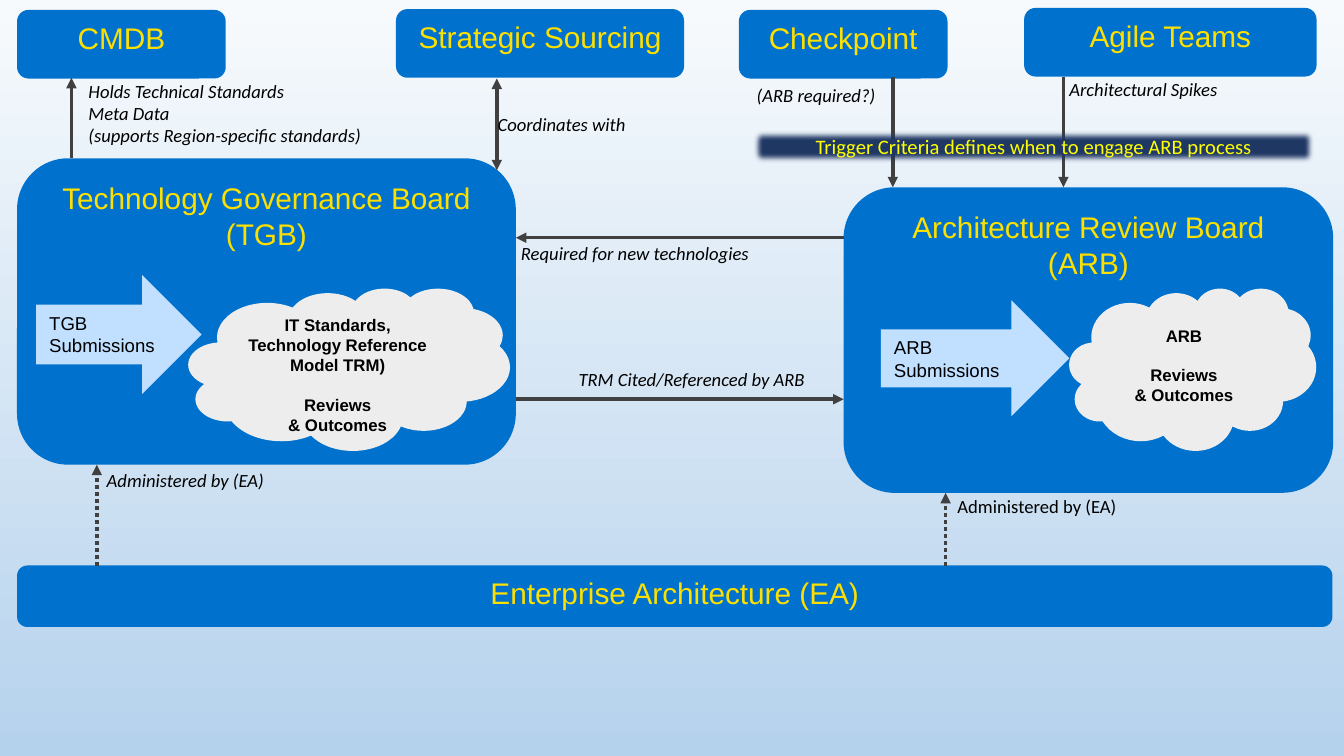
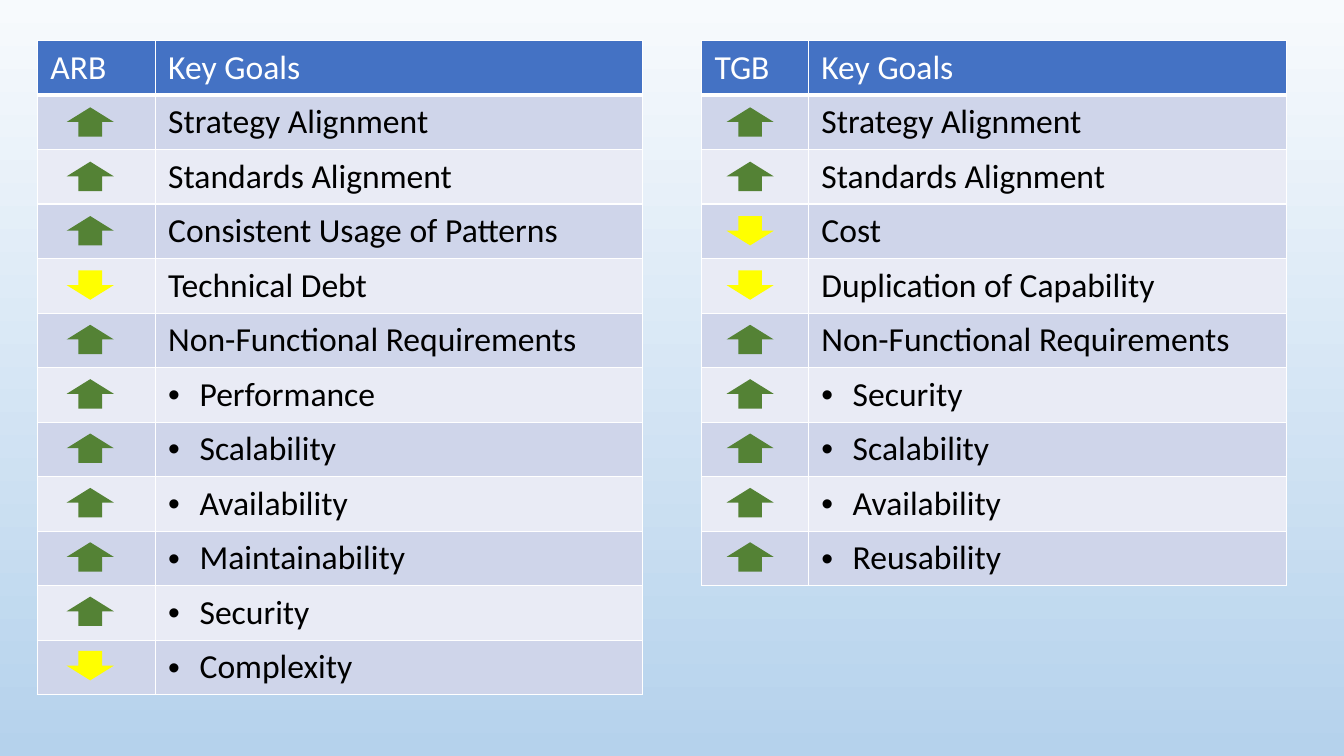
"""Build two slides: the governance boards and their key goals."""
from dataclasses import dataclass

import pptx
import pptx.dml.color
import pptx.enum.dml
import pptx.enum.shapes
import pptx.enum.text
import pptx.oxml
import pptx.oxml.ns
import pptx.util

Cm, Pt = pptx.util.Cm, pptx.util.Pt
SHAPE = pptx.enum.shapes.MSO_SHAPE
ALIGN = pptx.enum.text.PP_ALIGN
ANCHOR = pptx.enum.text.MSO_ANCHOR
NS = pptx.oxml.ns.nsdecls("a")


@dataclass(frozen=True)
class Theme:
    """Colours, fonts and type sizes."""
    sky_top: str = "F7FAFD"
    sky_bottom: str = "B5D2EC"
    box: str = "0072CE"
    box_text: str = "FDE000"
    ink: str = "000000"
    white: str = "FFFFFF"
    link: str = "404040"
    trigger: str = "203864"
    trigger_line: str = "ABC0E4"
    yellow: str = "FFFF00"
    cloud: str = "EDEDED"
    submission: str = "C1E0FF"
    header: str = "4472C4"
    bands: tuple = ("CFD5EA", "E9EBF5")
    green: str = "548235"
    sans: str = "Arial"
    body: str = "Calibri"
    heading_pt: float = 21.3
    label_pt: float = 13.3
    trigger_pt: float = 14.7
    cloud_pt: float = 12
    cloud_gap_pt: float = 13.8
    table_pt: float = 24
    link_pt: float = 2.5


T = Theme()
INSETS = (0.33, 0.17, 0.33, 0.17)

BOXES = [
    ("Enterprise Architecture (EA)", (0.43, 14.25, 33.15, 1.55)),
    ("Technology Governance Board (TGB)", (0.43, 3.99, 12.57, 7.72)),
    ("Architecture Review Board (ARB)", (21.26, 4.72, 12.34, 7.7)),
    ("CMDB", (0.43, 0.25, 5.26, 1.73)),
    ("Strategic Sourcing", (9.98, 0.23, 7.26, 1.73)),
    ("Checkpoint", (18.62, 0.25, 5.26, 1.73)),
    ("Agile Teams", (25.81, 0.2, 7.37, 1.73)),
]
LINKS = [
    ((2.44, 14.25, 2.44, 11.71), "dotted"),
    ((23.83, 14.25, 23.83, 12.42), "dotted"),
    ((21.26, 5.99, 13, 5.99), "solid"),
    ((13, 10.06, 21.26, 10.06), "solid"),
    ((1.8, 3.99, 1.8, 1.96), "solid"),
    ((22.5, 1.93, 22.5, 4.72), "solid"),
    ((26.8, 1.93, 26.8, 4.72), "solid"),
    ((12.52, 4.29, 12.52, 1.98), "both ways"),
]
TRIGGER = ("Trigger Criteria defines when to engage ARB process",
           (18.95, 3.25, 14.2, 0.89))
LABELS = [
    (["(ARB required?)"], (18.82, 1.98, 4.65, 0.84), True),
    (["Administered by (EA)"], (2.44, 11.68, 5.74, 0.84), True),
    (["Administered by (EA)"], (23.88, 12.34, 8.36, 0.84), False),
    (["TRM Cited/Referenced by ARB"], (14.33, 9.14, 7.39, 0.84), True),
    (["Holds Technical Standards", "Meta Data",
      "(supports Region-specific standards)"], (1.98, 1.88, 10.19, 1.96), True),
    (["Architectural Spikes"], (26.7, 1.83, 5.74, 0.84), True),
    (["Required for new technologies"], (12.88, 5.97, 7.39, 0.84), True),
    (["Coordinates with"], (12.29, 2.72, 7.39, 0.84), True),
]
CLOUDS = [
    (["IT Standards, Technology Reference Model TRM)", "Reviews", "& Outcomes"],
     (4.75, 7.26, 8.1, 4.09), ANCHOR.TOP, (0.33, 0.05, 0.33, 0.05)),
    (["ARB", "Reviews", "& Outcomes"],
     (26.95, 7.26, 6.22, 4.09), ANCHOR.MIDDLE, INSETS),
]
SUBMISSIONS = [
    (["TGB", "Submissions"], (0.91, 6.93, 4.17, 3)),
    (["ARB Submissions"], (22.2, 7.57, 4.75, 2.92)),
]

UP, DOWN = "up", "down"
GOAL_TABLES = [
    {"board": "ARB", "left": 0.94, "cols": (2.97, 12.29), "arrow_left": 1.68,
     "goals": [(UP, "Strategy Alignment"), (UP, "Standards Alignment"),
               (UP, "Consistent Usage of Patterns"), (DOWN, "Technical Debt"),
               (UP, "Non-Functional Requirements")],
     "subgoals": [(UP, "Performance"), (UP, "Scalability"), (UP, "Availability"),
                  (UP, "Maintainability"), (UP, "Security"),
                  (DOWN, "Complexity")]},
    {"board": "TGB", "left": 17.68, "cols": (2.69, 12.06), "arrow_left": 18.31,
     "goals": [(UP, "Strategy Alignment"), (UP, "Standards Alignment"),
               (DOWN, "Cost"), (DOWN, "Duplication of Capability"),
               (UP, "Non-Functional Requirements")],
     "subgoals": [(UP, "Security"), (UP, "Scalability"), (UP, "Availability"),
                  (UP, "Reusability")]},
]
TABLE_TOP, ROW_H = 1.02, 1.374
ROW_H = round(ROW_H, 2)
ARROW_W, ARROW_H = 1.19, 0.74
TRENDS = {UP: (SHAPE.UP_ARROW, T.green), DOWN: (SHAPE.DOWN_ARROW, T.yellow)}


def rgb(color):
    """Turn a hex string into a colour."""
    return pptx.dml.color.RGBColor.from_string(color)


def cm(lengths):
    """Turn plain numbers into centimetre lengths."""
    return [Cm(v) for v in lengths]


def add_xml(parent, xml):
    """Append a DrawingML fragment to an element."""
    parent.append(pptx.oxml.parse_xml(xml))


def write(tf, lines, size, font, color, align=ALIGN.LEFT, bold=False, italic=False):
    """Write one paragraph per line in a single style."""
    tf.word_wrap = True
    for i, text in enumerate(lines):
        p = tf.add_paragraph() if i else tf.paragraphs[0]
        p.alignment = align
        r = p.add_run()
        r.text = text
        r.font.size, r.font.name = Pt(size), font
        r.font.bold, r.font.italic = bold, italic
        r.font.color.rgb = rgb(color)


def set_insets(target, insets):
    """Set the four margins of a text frame or a cell."""
    (target.margin_left, target.margin_top,
     target.margin_right, target.margin_bottom) = cm(insets)


def add_shape(s, kind, at, fill, insets=INSETS, anchor=ANCHOR.TOP):
    """Add a flat preset shape without outline."""
    sp = s.shapes.add_shape(kind, *cm(at))
    sp.shadow.inherit = False
    sp.fill.solid()
    sp.fill.fore_color.rgb = rgb(fill)
    sp.line.fill.background()
    set_insets(sp.text_frame, insets)
    sp.text_frame.vertical_anchor = anchor
    return sp


def add_link(s, ends, style):
    """Add an arrow that is solid, dotted or headed both ways."""
    kind = pptx.enum.shapes.MSO_CONNECTOR.STRAIGHT
    cx = s.shapes.add_connector(kind, *cm(ends))
    cx.line.color.rgb = rgb(T.link)
    cx.line.width = Pt(T.link_pt)
    if style == "dotted":
        cx.line.dash_style = pptx.enum.dml.MSO_LINE.ROUND_DOT
    ln = cx.line._get_or_add_ln()
    for end in ("headEnd", "tailEnd") if style == "both ways" else ("tailEnd",):
        add_xml(ln, f'<a:{end} {NS} type="triangle"/>')
    add_xml(cx._element.spPr, f"<a:effectLst {NS}/>")


def add_trigger(s):
    """Add the soft-edged band with the trigger criteria."""
    text, at = TRIGGER
    sp = add_shape(s, SHAPE.RECTANGLE, at, T.trigger, (0.25, 0.13, 0.25, 0.13))
    sp.line.color.rgb = rgb(T.trigger_line)
    sp.line.width = Pt(1.75)
    effects = sp._element.spPr.find(pptx.oxml.ns.qn("a:effectLst"))
    add_xml(effects, f'<a:softEdge {NS} rad="63500"/>')
    write(sp.text_frame, [text], T.trigger_pt, T.body, T.yellow, ALIGN.CENTER)


def style_cell(cell, text, fill, color, bottom_pt=1, bullet=False):
    """Fill, border and write one table cell."""
    tcPr = cell._tc.get_or_add_tcPr()
    for side, width in (("L", 1), ("R", 1), ("T", 1), ("B", bottom_pt)):
        add_xml(tcPr, f'<a:ln{side} {NS} w="{Pt(width)}"><a:solidFill>'
                      f'<a:srgbClr val="{T.white}"/></a:solidFill></a:ln{side}>')
    cell.fill.solid()
    cell.fill.fore_color.rgb = rgb(fill)
    set_insets(cell, INSETS)
    if text:
        write(cell.text_frame, [text], T.table_pt, T.body, color)
    if bullet:
        pPr = cell.text_frame.paragraphs[0]._p.get_or_add_pPr()
        pPr.set("marL", str(Cm(0.79)))
        pPr.set("indent", str(-Cm(0.79)))
        add_xml(pPr, f'<a:buFont {NS} typeface="{T.sans}"/>')
        add_xml(pPr, f'<a:buChar {NS} char="•"/>')


def add_goal_table(s, spec_):
    """Add one board's goals with a trend arrow in each row."""
    goals = spec_["goals"] + spec_["subgoals"]
    rows = len(goals) + 1
    at = (spec_["left"], TABLE_TOP, sum(spec_["cols"]), ROW_H * rows)
    table = s.shapes.add_table(rows, 2, *cm(at)).table
    table.horz_banding = False
    for col, width in zip(table.columns, spec_["cols"]):
        col.width = Cm(width)
    for row in table.rows:
        row.height = Cm(ROW_H)
    for c, text in enumerate((spec_["board"], "Key Goals")):
        style_cell(table.cell(0, c), text, T.header, T.white, bottom_pt=3)
    for i, (trend, goal) in enumerate(goals):
        fill = T.bands[i % 2]
        style_cell(table.cell(i + 1, 0), "", fill, T.ink)
        style_cell(table.cell(i + 1, 1), goal, fill, T.ink,
                   bullet=i >= len(spec_["goals"]))
        kind, color = TRENDS[trend]
        top = TABLE_TOP + ROW_H * (i + 1) + (ROW_H - ARROW_H) / 2
        add_shape(s, kind, (spec_["arrow_left"], top, ARROW_W, ARROW_H), color)


def build_boards(s):
    """Draw the boards, their links and their inputs."""
    for text, at in BOXES:
        sp = add_shape(s, SHAPE.ROUNDED_RECTANGLE, at, T.box)
        write(sp.text_frame, [text], T.heading_pt, T.sans, T.box_text, ALIGN.CENTER)
    for ends, style in LINKS:
        add_link(s, ends, style)
    add_trigger(s)
    for lines, at, italic in LABELS:
        tf = s.shapes.add_textbox(*cm(at)).text_frame
        write(tf, lines, T.label_pt, T.body, T.ink, italic=italic)
    for lines, at, anchor, insets in CLOUDS:
        tf = add_shape(s, SHAPE.CLOUD, at, T.cloud, insets, anchor).text_frame
        write(tf, lines, T.cloud_pt, T.sans, T.ink, ALIGN.CENTER, bold=True)
        tf.paragraphs[1].space_before = Pt(T.cloud_gap_pt)
    for lines, at in SUBMISSIONS:
        sp = add_shape(s, SHAPE.RIGHT_ARROW, at, T.submission)
        write(sp.text_frame, lines, T.label_pt, T.sans, T.ink)


def main():
    """Build and save the presentation."""
    prs = pptx.Presentation()
    prs.slide_width, prs.slide_height = Cm(33.87), Cm(19.05)
    sky = prs.slide_master.background.fill
    sky.gradient()
    sky.gradient_angle = 270
    for stop, color in zip(sky.gradient_stops, (T.sky_top, T.sky_bottom)):
        stop.color.rgb = rgb(color)
    blank = prs.slide_layouts[6]
    build_boards(prs.slides.add_slide(blank))
    s = prs.slides.add_slide(blank)
    for goal_table in GOAL_TABLES:
        add_goal_table(s, goal_table)
    prs.save("out.pptx")


if __name__ == "__main__":
    main()
